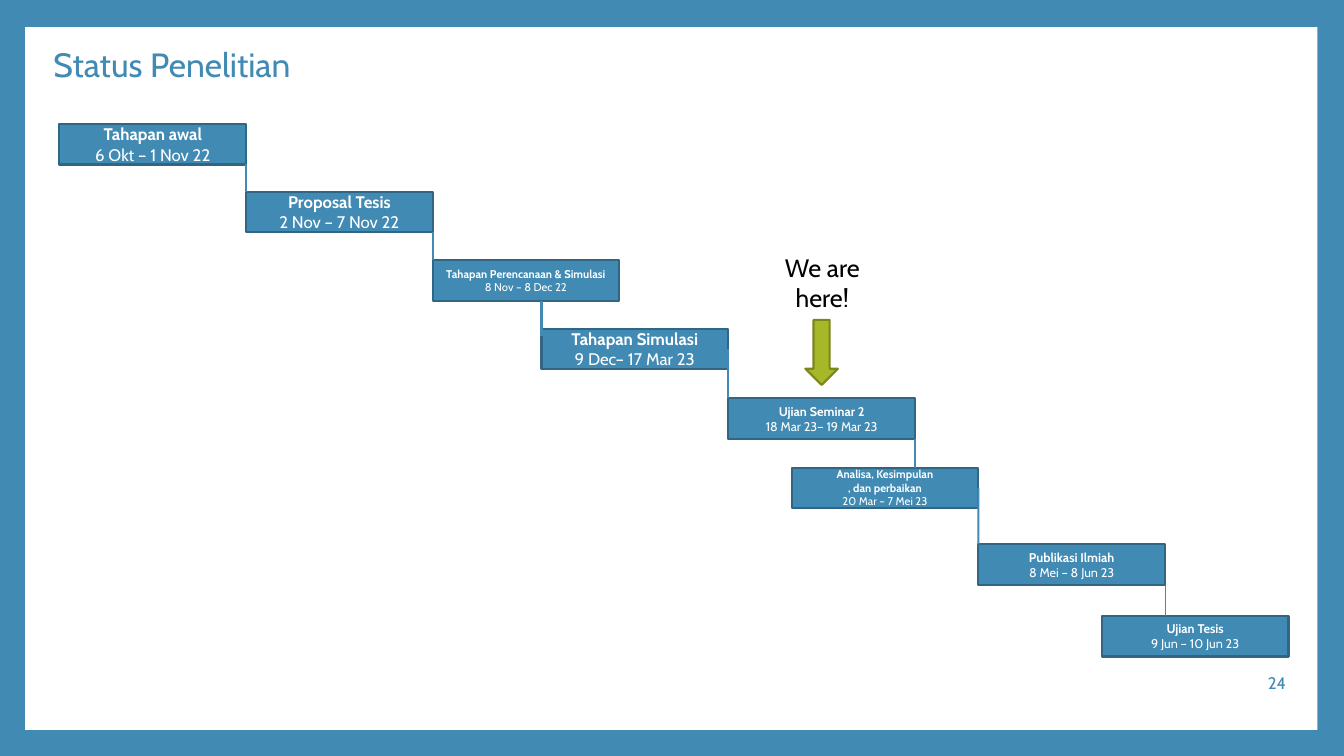
from pptx import Presentation
from pptx.util import Pt
from pptx.dml.color import RGBColor
from pptx.enum.shapes import MSO_CONNECTOR, MSO_SHAPE
from pptx.enum.text import MSO_ANCHOR, PP_ALIGN
from pptx.oxml.ns import qn
from lxml.etree import SubElement

TITLE = "Status Penelitian"
NOTE = "We are here!"
PAGE = "24"
STAGES = [
    (42.5, 88.5, "small", ["Tahapan awal", "6 Okt – 1 Nov 22"]),
    (175.8, 137, "small", ["Proposal Tesis", "2 Nov – 7 Nov 22"]),
    (309, 185.8, "micro", ["Tahapan Perencanaan & Simulasi", "8 Nov – 8 Dec 22"]),
    (386.8, 234.8, "small", ["Tahapan Simulasi", "9 Dec– 17 Mar 23"]),
    (520.2, 284.5, "tiny", ["Ujian Seminar 2", "18 Mar 23– 19 Mar 23"]),
    (565.5, 334, "micro", ["Analisa, Kesimpulan", ", dan perbaikan", "20 Mar – 7 Mei 23"]),
    (698.8, 388.8, "tiny", ["Publikasi Ilmiah", "8 Mei – 8 Jun 23"]),
    (787, 440, "tiny", ["Ujian Tesis", "9 Jun – 10 Jun 23"]),
]
LINKS = [
    ("next", "base", 1, 0),
    ("next", "base", 1.5, 0),
    ("next", "base", 1.5, 5),
    ("next", "side", 1.5, 0),
    ("last", "base", 0.79, 0),
    ("next", "side", 1.5, 0),
    ("last", "base", 0.79, 0),
]
WIDE, HIGH = 133.4, 29
THEME = {
    "font": "Cabin",
    "blue": RGBColor(0x41, 0x8A, 0xB3),
    "navy": RGBColor(0x30, 0x66, 0x84),
    "lime": RGBColor(0xA6, 0xB7, 0x27),
    "moss": RGBColor(0x7B, 0x87, 0x1D),
    "white": RGBColor(0xFF, 0xFF, 0xFF),
    "black": RGBColor(0, 0, 0),
    "head": 24, "note": 18, "small": 12, "tiny": 9, "micro": 8,
}


def place(*nums):
    return [Pt(n) for n in nums]


def write(shape, lines, size, tint, align, anchor=MSO_ANCHOR.MIDDLE, bold=False):
    frame = shape.text_frame
    frame.word_wrap = True
    frame.vertical_anchor = anchor
    frame.text = "\n".join(lines)
    for i, para in enumerate(frame.paragraphs):
        para.alignment = align
        font = para.font
        font.name = THEME["font"]
        font.size = Pt(THEME[size])
        font.color.rgb = THEME[tint]
        font.bold = bold and i < len(lines) - 1
    return frame


def block(slide, kind, box, fill, edge=None):
    shape = slide.shapes.add_shape(kind, *place(*box))
    shape.shadow.inherit = False
    shape.fill.solid()
    shape.fill.fore_color.rgb = THEME[fill]
    if edge:
        shape.line.color.rgb = THEME[edge]
        shape.line.width = Pt(1.5)
    else:
        shape.line.fill.background()
    return shape


def link(slide, prev, after, rule):
    edge, start, width, dip = rule
    x = after.left if edge == "next" else prev.left + prev.width
    y = prev.top + prev.height
    line = slide.shapes.add_connector(
        MSO_CONNECTOR.STRAIGHT, x, y, x, after.top + Pt(dip))
    if start == "side":
        line.begin_connect(prev, 3)
    line.line.color.rgb = THEME["blue"]
    line.line.width = Pt(width)
    SubElement(line.element.spPr, qn("a:effectLst"))


def main():
    deck = Presentation()
    deck.slide_width, deck.slide_height = place(960, 540)
    slide = deck.slides.add_slide(deck.slide_layouts[5])
    back = slide.background.fill
    back.solid()
    back.fore_color.rgb = THEME["blue"]
    panel = block(slide, MSO_SHAPE.RECTANGLE, (18, 19.4, 923, 502), "white")

    title = slide.shapes.title
    panel.element.addnext(title.element)
    title.left, title.top, title.width, title.height = place(31, 26.6, 587, 42.5)
    frame = write(title, [TITLE], "head", "blue", PP_ALIGN.LEFT)
    frame.paragraphs[0].line_spacing = 0.9

    page = slide.shapes.add_textbox(*place(894, 473, 31.7, 28.8))
    write(page, [PAGE], "small", "blue", PP_ALIGN.RIGHT)

    boxes = []
    for left, top, size, lines in STAGES:
        box = block(slide, MSO_SHAPE.RECTANGLE, (left, top, WIDE, HIGH), "blue", "navy")
        write(box, lines, size, "white", PP_ALIGN.CENTER, bold=True)
        boxes.append(box)
    for prev, after, rule in zip(boxes, boxes[1:], LINKS):
        link(slide, prev, after, rule)

    block(slide, MSO_SHAPE.DOWN_ARROW, (575.3, 228.5, 23.2, 46.5), "lime", "moss")
    note = slide.shapes.add_textbox(*place(542, 176.5, 90.7, 51))
    write(note, [NOTE], "note", "black", PP_ALIGN.CENTER, MSO_ANCHOR.TOP)
    deck.save("out.pptx")


if __name__ == "__main__":
    main()
